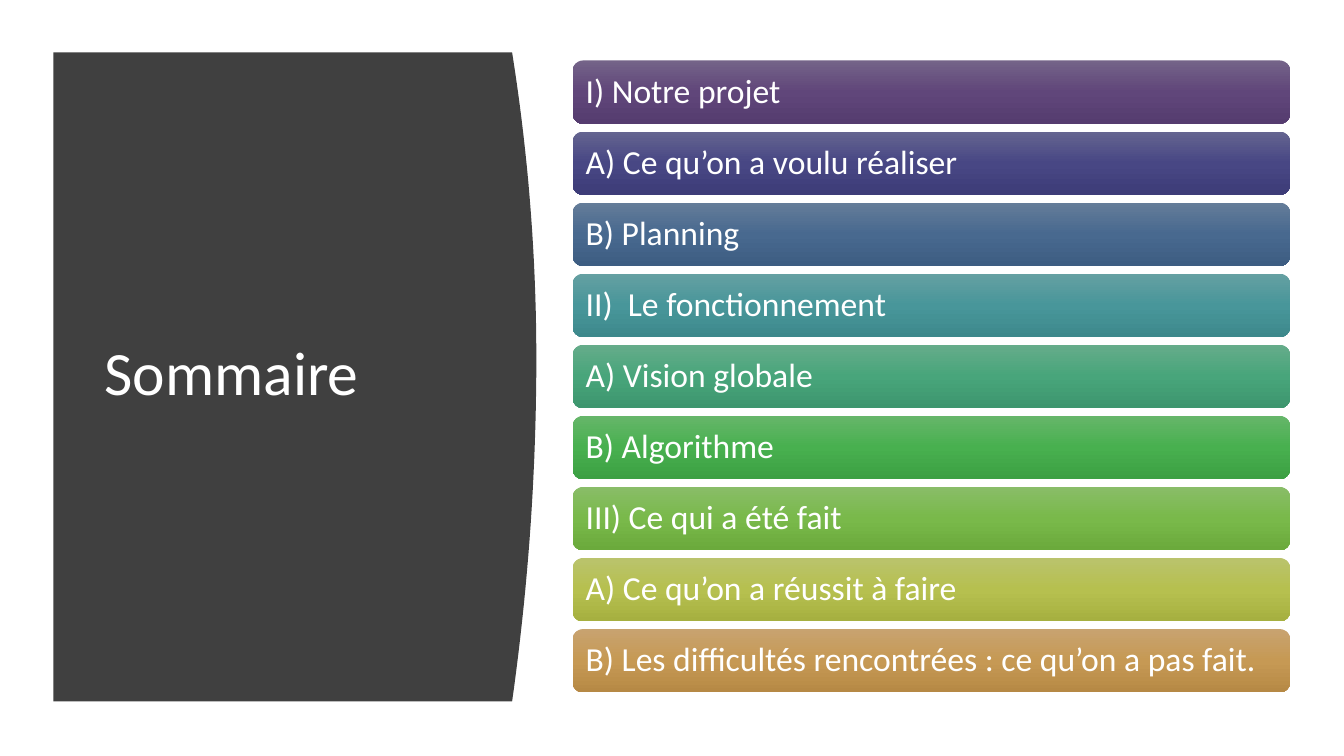
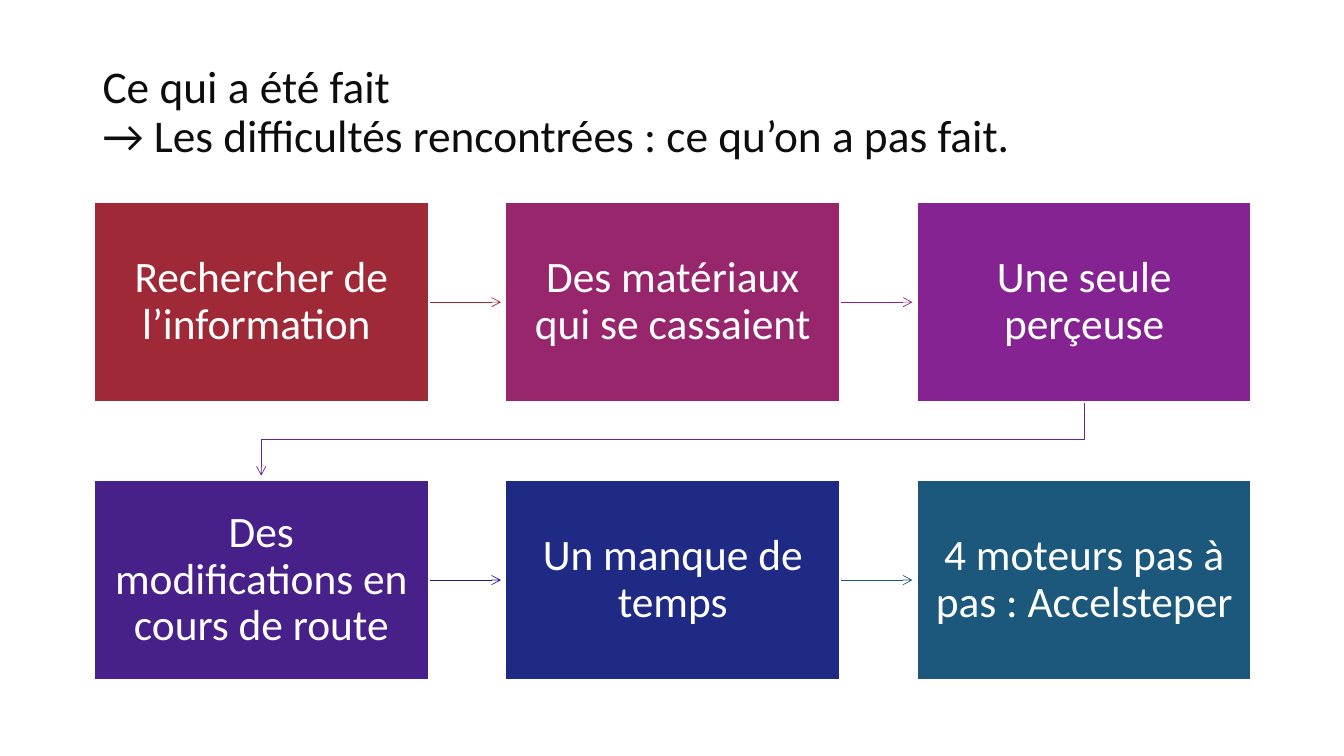
from copy import deepcopy

from pptx import Presentation
from pptx.dml.color import RGBColor
from pptx.enum.shapes import MSO_CONNECTOR, MSO_SHAPE
from pptx.enum.text import MSO_ANCHOR, PP_ALIGN
from pptx.oxml import parse_xml
from pptx.oxml.ns import nsdecls, qn
from pptx.util import Pt

RECT = MSO_SHAPE.RECTANGLE
ROUND_RECT = MSO_SHAPE.ROUNDED_RECTANGLE
STRAIGHT = MSO_CONNECTOR.STRAIGHT
MIDDLE = MSO_ANCHOR.MIDDLE
LEFT, CENTER = PP_ALIGN.LEFT, PP_ALIGN.CENTER
RIGHT_SIDE = 3

FONT = "Calibri"
COLORS = {
    "white": "FFFFFF",
    "ink": "0D0D0D",
    "panel": "404040",
    "red": "9F2936",
    "magenta": "98266C",
    "magenta_arrow": "962579",
    "purple": "842391",
    "purple_arrow": "66228E",
    "violet": "48208A",
    "navy": "1E2A83",
    "navy_arrow": "1E1E85",
    "teal": "1B587C",
}
# Top, middle and bottom colour of each summary bar
GRADIENTS = {
    "plum": "746388 60467A 553C6F",
    "indigo": "646490 484784 3D3C78",
    "steel": "647C99 48698F 3D5D82",
    "cyan": "65A0A2 48969A 3D898C",
    "jade": "65AC8A 48A57B 3D966E",
    "green": "66B66A 48B04F 3CA043",
    "lime": "89BD68 79B94A 6BAA3C",
    "olive": "BAC36C B6C04F A6B040",
    "ochre": "C8A370 C69954 B68945",
}

SUMMARY = [
    ("I) Notre projet", "plum"),
    ("A) Ce qu’on a voulu réaliser", "indigo"),
    ("B) Planning", "steel"),
    ("II)  Le fonctionnement", "cyan"),
    ("A) Vision globale", "jade"),
    ("B) Algorithme", "green"),
    ("III) Ce qui a été fait", "lime"),
    ("A) Ce qu’on a réussit à faire", "olive"),
    ("B) Les difficultés rencontrées : ce qu’on a pas fait.", "ochre"),
]
# Text, box colour, colour of the arrow that leaves the box
DIFFICULTIES = [
    ("Rechercher de l’information ", "red", "red"),
    ("Des matériaux qui se cassaient", "magenta", "magenta_arrow"),
    ("Une seule perçeuse", "purple", "purple_arrow"),
    ("Des modifications en cours de route", "violet", "navy_arrow"),
    ("Un manque de temps", "navy", "teal"),
    ("4 moteurs pas à pas : Accelsteper", "teal", None),
]


def rgb(name):
    return RGBColor.from_string(COLORS[name])


def write(sp, lines, size, color="white", align=LEFT, margins=(7.2, 3.6)):
    """Fill a shape with one paragraph per line, centred vertically."""
    tf = sp.text_frame
    dx, dy = (Pt(m) for m in margins)
    frame = {"word_wrap": True, "vertical_anchor": MIDDLE, "margin_left": dx,
             "margin_right": dx, "margin_top": dy, "margin_bottom": dy}
    for name, value in frame.items():
        setattr(tf, name, value)
    for i, line in enumerate(lines):
        p = tf.add_paragraph() if i else tf.paragraphs[0]
        p.alignment, p.line_spacing = align, 0.9
        r = p.add_run()
        r.text = line
        for name, value in {"name": FONT, "size": Pt(size)}.items():
            setattr(r.font, name, value)
        r.font.color.rgb = rgb(color)


def add_title(slide, lines, box, size, color):
    write(slide.shapes.add_textbox(*map(Pt, box)), lines, size, color)


def add_panel(slide):
    """Dark panel whose right edge bulges outwards."""
    left, edge, bulge = 38.2, 365.8, 17.3
    top, peak, bottom = 37.4, 255.6, 501.1
    steps = 40
    curve = []
    for i in range(steps + 1):
        y = top + (bottom - top) * i / steps
        t = (y - peak) / ((top if y < peak else bottom) - peak)
        curve.append((Pt(edge + bulge * (1 - t * t)), Pt(y)))
    fb = slide.shapes.build_freeform(Pt(left), Pt(top))
    fb.add_line_segments(curve + [(Pt(left), Pt(bottom))], close=True)
    sp = fb.convert_to_shape()
    sp.shadow.inherit = False
    sp.fill.solid()
    sp.fill.fore_color.rgb = rgb("panel")
    sp.line.fill.background()


def fill_gradient(sp, hexes):
    """Vertical gradient with three evenly spaced stops."""
    sp.fill.gradient()
    sp.fill.gradient_angle = 270
    first = sp._element.spPr.find(".//" + qn("a:gs"))
    first.addnext(deepcopy(first))
    for i, (stop, value) in enumerate(zip(sp.fill.gradient_stops, hexes)):
        stop.position = i / 2
        stop.color.rgb = RGBColor.from_string(value)


def add_bar(slide, text, gradient, top):
    sp = slide.shapes.add_shape(ROUND_RECT, Pt(409), Pt(top), Pt(512.6), Pt(45.3))
    sp.shadow.inherit = False
    sp.line.fill.background()
    fill_gradient(sp, GRADIENTS[gradient].split())
    write(sp, [text], 24, margins=(7.2, 7.2))


def add_box(slide, text, color, box):
    sp = slide.shapes.add_shape(RECT, *map(Pt, box))
    sp.shadow.inherit = False
    sp.fill.solid()
    sp.fill.fore_color.rgb = rgb(color)
    sp.line.color.rgb = rgb("white")
    sp.line.width = Pt(1.5)
    write(sp, [text], 31, align=CENTER, margins=(11.7, 12.3))
    return sp


def style_arrow(sp, color):
    sp.line.color.rgb = rgb(color)
    sp.line.width = Pt(0.5)
    sp.line._get_or_add_ln().append(
        parse_xml(f'<a:tailEnd type="arrow" {nsdecls("a")}/>'))


def add_arrow(slide, start, end, color):
    sp = slide.shapes.add_connector(STRAIGHT, *map(Pt, start + end))
    style_arrow(sp, color)
    sp._element.spPr.append(parse_xml(f'<a:effectLst {nsdecls("a")}/>'))
    return sp


def add_bent_arrow(slide, start, end, color):
    """Arrow that goes down, across and down again."""
    mid = (start[1] + end[1]) / 2
    corners = [(start[0], mid), (end[0], mid), end]
    fb = slide.shapes.build_freeform(*map(Pt, start))
    fb.add_line_segments([(Pt(x), Pt(y)) for x, y in corners], close=False)
    sp = fb.convert_to_shape()
    sp.shadow.inherit = False
    sp.fill.background()
    style_arrow(sp, color)


def build_summary(slide):
    add_panel(slide)
    add_title(slide, ["Sommaire"], (67.7, 79.9, 269.3, 377.3), 44, "white")
    for i, (text, gradient) in enumerate(SUMMARY):
        add_bar(slide, text, gradient, 43.2 + 50.77 * i)


def build_difficulties(slide):
    add_title(slide,
              ["Ce qui a été fait",
               "→ Les difficultés rencontrées : ce qu’on a pas fait."],
              (66.2, 28.8, 828, 104.4), 32.4, "ink")
    columns, gap = 3, 3
    left, top, width, height = 67, 144.3, 239.2, 143.1
    step_x, step_y = 293.9, 198.5
    for i, (text, color, arrow_color) in enumerate(DIFFICULTIES):
        row, col = divmod(i, columns)
        x, y = left + col * step_x, top + row * step_y
        arrow = None
        # Arrows lie behind the box they leave
        if arrow_color and col < columns - 1:
            mid = y + height / 2
            arrow = add_arrow(slide, (x + width, mid),
                              (x + step_x - gap, mid), arrow_color)
        elif arrow_color:
            add_bent_arrow(slide, (x + width / 2, y + height),
                           (left + width / 2, y + step_y - gap), arrow_color)
        sp = add_box(slide, text, color, (x, y, width, height))
        if arrow:
            arrow.begin_connect(sp, RIGHT_SIDE)


def main():
    prs = Presentation()
    prs.slide_width, prs.slide_height = Pt(960), Pt(540)
    blank = prs.slide_layouts[6]
    for build in (build_summary, build_difficulties):
        build(prs.slides.add_slide(blank))
    prs.save("out.pptx")


if __name__ == "__main__":
    main()
